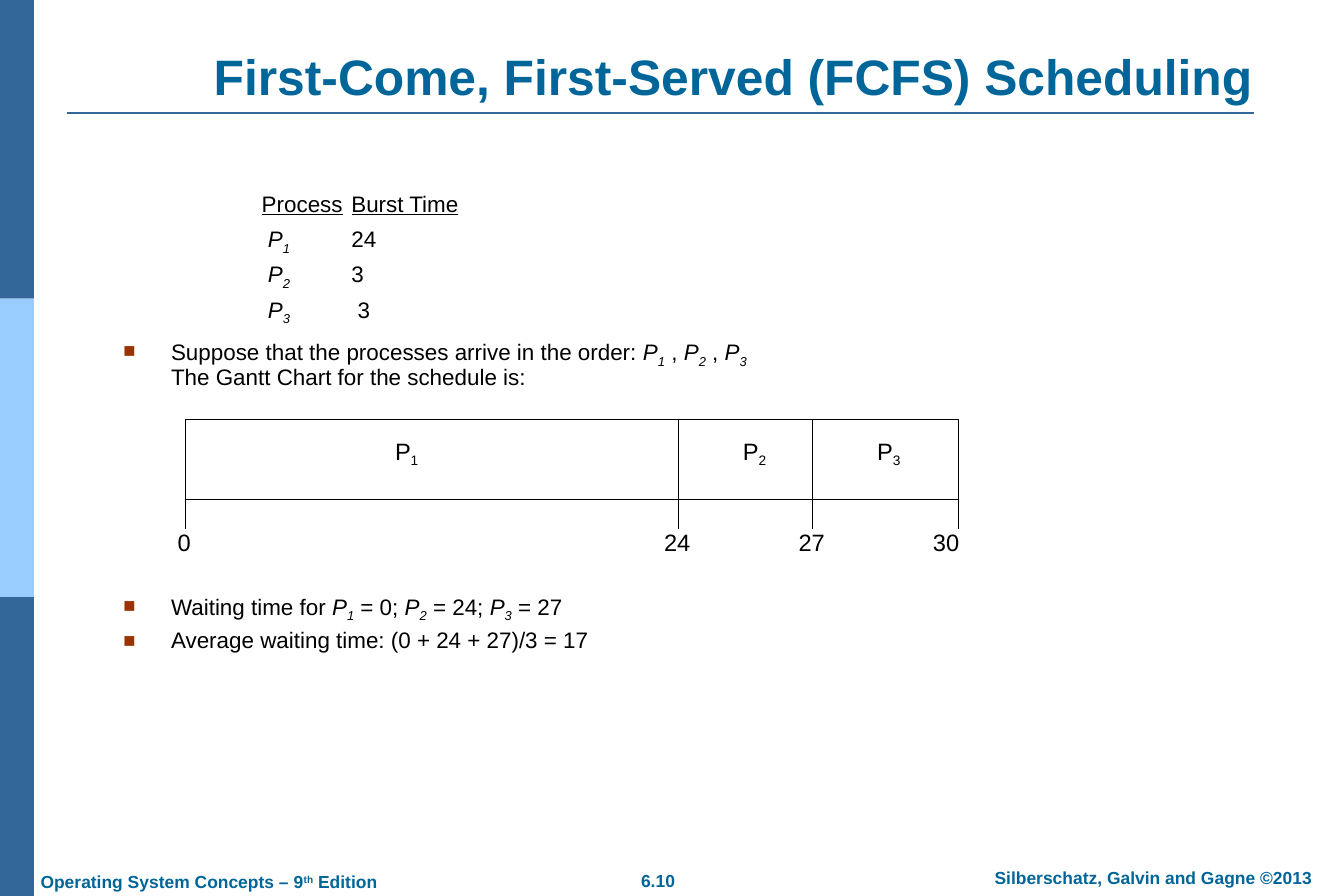
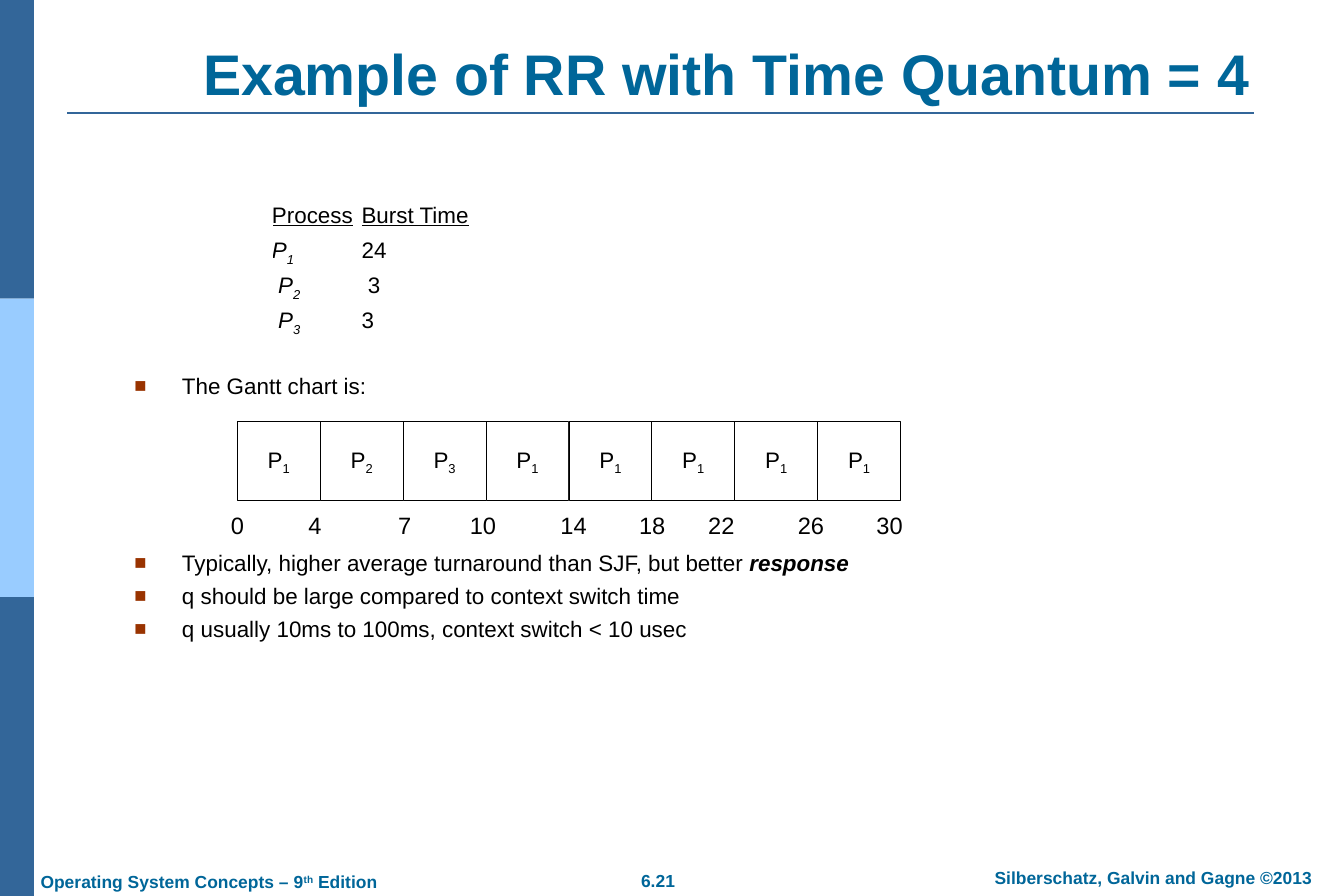
import pptx
import pptx.util
import pptx.dml.color
import pptx.enum.shapes
import pptx.enum.text
import pptx.oxml
import pptx.oxml.ns

Cm = pptx.util.Cm
Pt = pptx.util.Pt
ALIGN = pptx.enum.text.PP_ALIGN
ANCHOR = pptx.enum.text.MSO_ANCHOR
RECT = pptx.enum.shapes.MSO_SHAPE.RECTANGLE
STRAIGHT = pptx.enum.shapes.MSO_CONNECTOR.STRAIGHT

WIDTH, HEIGHT = 38.1, 25.4
NAVY, SKY, TEAL = "336699", "99CCFF", "006699"
BLACK, WHITE, RUST = "000000", "FFFFFF", "993300"
BODY = {"size": Pt(18), "name": "Arial"}
LABEL = {"size": Pt(19), "name": "Arial"}
FOOTER = {"size": Pt(14), "name": "Arial", "bold": True}
ITALIC = {"italic": True}
UNDERLINE = {"underline": True}
SUB = {"baseline": -25}
INSETS = (0.36, 0.18)


def rgb(value):
    return pptx.dml.color.RGBColor.from_string(value)


def set_attrs(obj, values):
    for name, value in values.items():
        setattr(obj, name, value)


def cm_box(*lengths):
    return [Cm(round(v, 2)) for v in lengths]


def write_runs(p, runs, font, color=BLACK):
    for text, extra in runs:
        if text == "\n":
            p.add_line_break()
            continue
        r = p.add_run()
        r.text = text
        values = {**font, **extra}
        baseline = values.pop("baseline", 0)
        set_attrs(r.font, values)
        r.font.color.rgb = rgb(color)
        if baseline:
            r._r.get_or_add_rPr().set("baseline", str(baseline * 1000))


def process(n, style=ITALIC):
    return [("P", style), (str(n), {**style, **SUB})]


def add_text(shapes, box, runs, font, color=BLACK, align=ALIGN.CENTER,
             anchor=ANCHOR.TOP, insets=(0, 0)):
    tf = shapes.add_textbox(*cm_box(*box)).text_frame
    x, y = cm_box(*insets)
    set_attrs(tf, {"word_wrap": True, "vertical_anchor": anchor,
                   "margin_left": x, "margin_right": x,
                   "margin_top": y, "margin_bottom": y})
    p = tf.paragraphs[0]
    p.alignment = align
    write_runs(p, runs, font, color)
    return tf


def add_rect(shapes, box, fill, line=None):
    sp = shapes.add_shape(RECT, *cm_box(*box))
    sp.shadow.inherit = False
    sp.fill.solid()
    sp.fill.fore_color.rgb = rgb(fill)
    if line:
        sp.line.color.rgb = rgb(line)
        sp.line.width = Pt(0.75)
    else:
        sp.line.fill.background()
    return sp


def add_line(shapes, x1, y1, x2, y2, color=BLACK, width=0.75):
    cxn = shapes.add_connector(STRAIGHT, *cm_box(x1, y1, x2, y2))
    cxn.line.color.rgb = rgb(color)
    cxn.line.width = Pt(width)
    cxn._element.spPr.append(pptx.oxml.parse_xml(
        f"<a:effectLst {pptx.oxml.ns.nsdecls('a')}/>"))


def add_frame(s, number):
    band = HEIGHT / 3
    for i, color in enumerate((NAVY, SKY, NAVY)):
        add_rect(s.shapes, (0, i * band, 0.96, band), color)
    add_line(s.shapes, 1.9, 3.2, 35.56, 3.2, NAVY, 1.5)
    book = [("Operating System Concepts – 9", {}), ("th", {"baseline": 30}), (" Edition", {})]
    authors = [("Silberschatz, Galvin and Gagne ©2013", {})]
    for box, runs, align in (
            ((17.78, 24.49, 1.75, 0.91), [(number, {})], ALIGN.CENTER),
            ((27.05, 24.41, 11.3, 0.91), authors, ALIGN.CENTER),
            ((0.79, 24.51, 10.39, 0.91), book, ALIGN.LEFT)):
        insets = (0, INSETS[1]) if runs[0][0] == number else INSETS
        add_text(s.shapes, box, runs, FOOTER, TEAL, align, insets=insets)


def add_title(s, box, text, size):
    font = {"size": Pt(size), "name": "Arial", "bold": True}
    add_text(s.shapes, box, [(text, {})], font, TEAL, anchor=ANCHOR.BOTTOM, insets=INSETS)


def add_burst_table(s, left, top, rows):
    pitch, widths = 1, (2.54, 4)
    rows = [([("Process", UNDERLINE)], [("Burst Time", UNDERLINE)])] + rows
    table = s.shapes.add_table(
        len(rows), 2, *cm_box(left, top, sum(widths), pitch * len(rows))).table
    set_attrs(table, {"first_row": False, "horz_banding": False})
    for column, width in zip(table.columns, widths):
        column.width = Cm(width)
    for i, row in enumerate(rows):
        table.rows[i].height = Cm(pitch)
        for j, runs in enumerate(row):
            cell = table.cell(i, j)
            cell.fill.background()
            set_attrs(cell, {"margin_left": 0, "margin_right": 0,
                             "margin_top": 0, "margin_bottom": 0})
            write_runs(cell.text_frame.paragraphs[0], runs, BODY)


def add_bullets(s, left, top, height, items):
    tf = add_text(s.shapes, (left, top, 30, height), [], BODY, align=ALIGN.LEFT)
    for i, runs in enumerate(items):
        p = tf.add_paragraph() if i else tf.paragraphs[0]
        set_attrs(p, {"line_spacing": 0.9, "space_after": Pt(7)})
        pPr = p._p.get_or_add_pPr()
        pPr.set("marL", str(Cm(1.35)))
        pPr.set("indent", str(-Cm(1.35)))
        for tag in (f'buClr {{ns}}><a:srgbClr val="{RUST}"/></a:buClr',
                    'buSzPct {ns} val="90000"/',
                    'buFont {ns} typeface="Arial"/',
                    'buChar {ns} char="■"/'):
            pPr.append(pptx.oxml.parse_xml(
                "<a:" + tag.format(ns=pptx.oxml.ns.nsdecls("a")) + ">"))
        write_runs(p, runs, BODY)


def add_label(shapes, x, y, runs):
    add_text(shapes, (x - 0.8, y - 0.5, 1.6, 1), runs, LABEL, anchor=ANCHOR.MIDDLE)


def add_times(shapes, left, y, times):
    for time, x in times:
        add_label(shapes, left + x, y, [(str(time), {})])


def add_divided_gantt(s, left, top, width, height, dividers, jobs, times):
    shapes = s.shapes.add_group_shape().shapes
    bottom = top + height
    add_rect(shapes, (left, top, width, height), WHITE, BLACK)
    for x in dividers:
        add_line(shapes, left + x, top, left + x, bottom)
    for x in (0, *dividers, width):
        add_line(shapes, left + x, bottom, left + x, bottom + 0.84)
    for n, x in jobs:
        add_label(shapes, left + x, top + 0.94, process(n, {}))
    add_times(shapes, left, bottom + 1.22, times)


def add_cell_gantt(s, left, top, width, height, jobs, times):
    shapes = s.shapes.add_group_shape().shapes
    cell = width / len(jobs)
    for i, n in enumerate(jobs):
        sp = add_rect(shapes, (left + i * cell, top, cell, height), WHITE, BLACK)
        tf = sp.text_frame
        set_attrs(tf, {"word_wrap": False, "vertical_anchor": ANCHOR.MIDDLE})
        tf.paragraphs[0].alignment = ALIGN.CENTER
        write_runs(tf.paragraphs[0], process(n, {}), BODY)
    add_times(shapes, left, top + height + 0.68, times)


def build_fcfs(s):
    add_frame(s, "6.10")
    add_title(s, (4.11, 1.47, 33.35, 1.7), "First-Come, First-Served (FCFS) Scheduling", 40)
    add_burst_table(s, 7.42, 5.44, [
        ([(" ", {})] + process(n), [(burst, {})])
        for n, burst in ((1, "24"), (2, "3"), (3, " 3"))])
    comma = [(" , ", {})]
    add_bullets(s, 3.5, 9.6, 1.6, [
        [("Suppose that the processes arrive in the order: ", {})]
        + process(1) + comma + process(2) + comma + process(3)
        + [("\n", {}), ("The Gantt Chart for the schedule is:", {})]])
    add_divided_gantt(s, 5.26, 11.89, 21.92, 2.26, (13.97, 17.78),
                      ((1, 6.27), (2, 16.13), (3, 19.94)),
                      ((0, -0.04), (24, 13.94), (27, 17.75), (30, 21.56)))
    add_bullets(s, 3.5, 16.82, 2, [
        [("Waiting time for ", {})] + process(1) + [(" = 0; ", {})]
        + process(2) + [(" = 24; ", {})] + process(3) + [(" = 27", {})],
        [("Average waiting time: (0 + 24 + 27)/3 = 17", {})]])


def build_round_robin(s):
    add_frame(s, "6.21")
    add_title(s, (3.81, 0.08, 33.55, 3.12), "Example of RR with Time Quantum = 4", 46)
    space = [(" ", {})]
    add_burst_table(s, 7.71, 5.75, [
        (process(1), [("24", {})]),
        (space + process(2), [(" 3", {})]),
        (space + process(3), [("3", {})])])
    add_bullets(s, 3.81, 10.63, 0.9, [[("The Gantt chart is:", {})]])
    add_cell_gantt(s, 6.73, 11.94, 18.8, 2.26, (1, 2, 3, 1, 1, 1, 1, 1),
                   ((0, 0), (4, 2.2), (7, 4.74), (10, 6.96), (14, 9.53),
                    (18, 11.76), (22, 13.72), (26, 16.26), (30, 18.49)))
    add_bullets(s, 3.81, 15.65, 2.9, [
        [("Typically, higher average turnaround than SJF, but better ", {}),
         ("response", {"bold": True, "italic": True})],
        [("q should be large compared to context switch time", {})],
        [("q usually 10ms to 100ms, context switch < 10 usec", {})]])


def main():
    prs = pptx.Presentation()
    set_attrs(prs, {"slide_width": Cm(WIDTH), "slide_height": Cm(HEIGHT)})
    for build in (build_fcfs, build_round_robin):
        build(prs.slides.add_slide(prs.slide_layouts[6]))
    prs.save("out.pptx")


if __name__ == "__main__":
    main()
